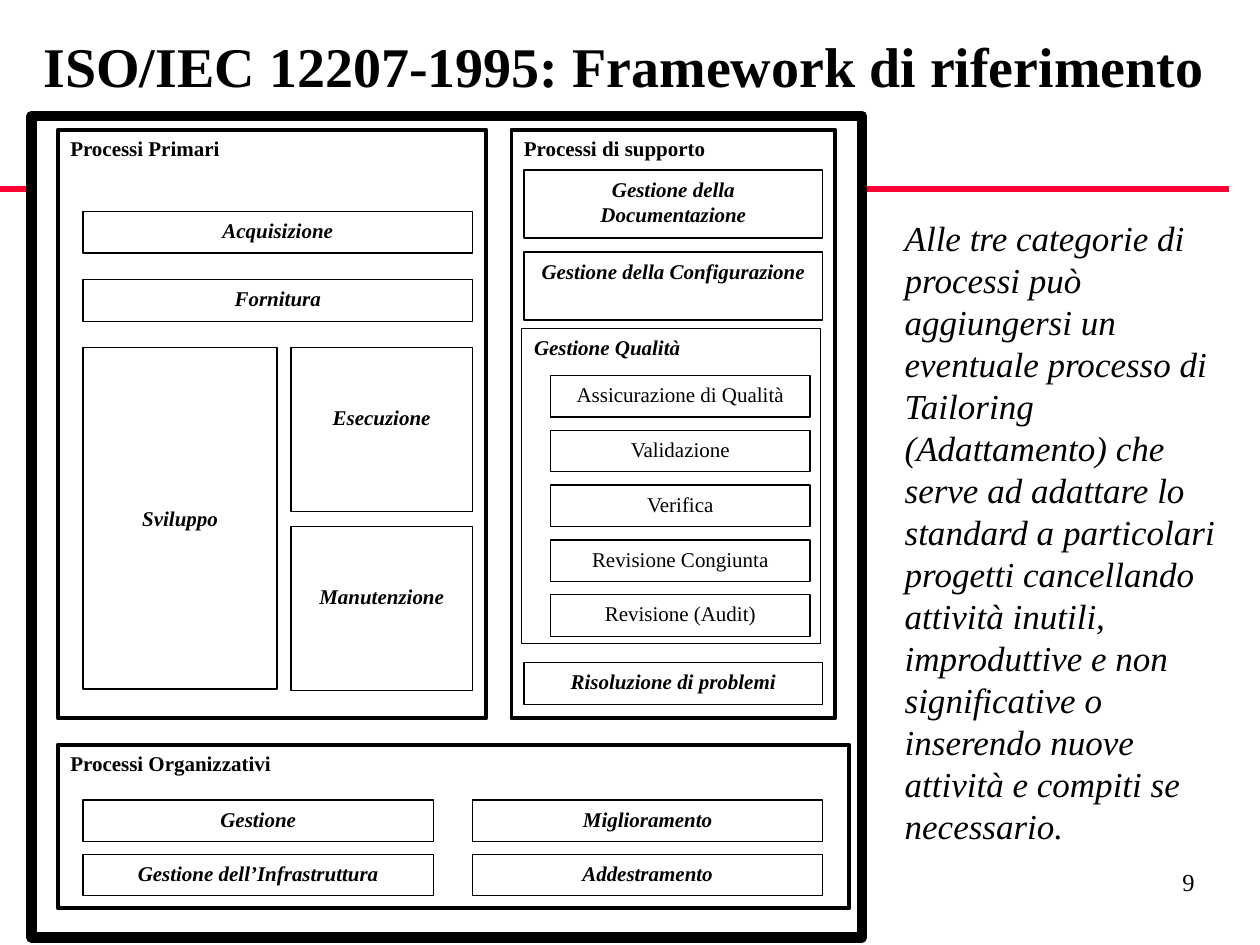
from lxml.etree import Element, SubElement
from pptx import Presentation
from pptx.dml.color import RGBColor
from pptx.enum.shapes import MSO_CONNECTOR, MSO_SHAPE
from pptx.enum.text import MSO_ANCHOR, MSO_AUTO_SIZE, PP_ALIGN
from pptx.oxml.ns import qn
from pptx.util import Inches, Pt

COLORS = {"ink": "000000", "paper": "FFFFFF", "rule": "FF0033"}


class SlideBuilder:
    """Holds the text style and the current slide."""

    font_name = "Times New Roman"

    def __init__(self, slide):
        self.slide = slide

    def color(self, name):
        return RGBColor.from_string(COLORS[name])

    def set_text(self, shape, text, size=12, bold=False, italic=False,
                 align=PP_ALIGN.LEFT, anchor=MSO_ANCHOR.TOP, top_inset=0.05):
        frame = shape.text_frame
        frame.word_wrap = True
        frame.auto_size = MSO_AUTO_SIZE.NONE
        frame.vertical_anchor = anchor
        frame.margin_top = Inches(top_inset)
        frame.text = text
        paragraph = frame.paragraphs[0]
        paragraph.alignment = align
        paragraph.space_before = Pt(0)
        font = paragraph.font
        font.name, font.size = self.font_name, Pt(size)
        font.bold, font.italic = bold, italic
        font.color.rgb = self.color("ink")
        return paragraph

    def placeholder(self, index, left, top, width, height, text, **style):
        shape = self.slide.placeholders[index]
        shape.left, shape.top = Inches(left), Inches(top)
        shape.width, shape.height = Inches(width), Inches(height)
        return self.set_text(shape, text, **style)

    def plain_body(self, *args, **style):
        properties = self.placeholder(1, *args, **style)._p.get_or_add_pPr()
        properties.set("marL", "0")
        properties.set("indent", "0")
        properties.find(qn("a:defRPr")).addprevious(Element(qn("a:buNone")))

    def text_box(self, left, top, width, height, text, **style):
        shape = self.slide.shapes.add_textbox(
            Inches(left), Inches(top), Inches(width), Inches(height))
        self.set_text(shape, text, **style)

    def box(self, left, top, width, height, line_width=0.75):
        shape = self.slide.shapes.add_shape(
            MSO_SHAPE.RECTANGLE,
            Inches(left), Inches(top), Inches(width), Inches(height))
        shape.shadow.inherit = False
        shape.fill.solid()
        shape.fill.fore_color.rgb = self.color("paper")
        shape.line.color.rgb = self.color("ink")
        shape.line.width = Pt(line_width)
        return shape

    def panel(self, left, top, width, height, heading):
        self.set_text(self.box(left, top, width, height, 2.25), heading, bold=True)

    def process(self, left, top, width, height, name, bold=True, italic=True,
                align=PP_ALIGN.CENTER, top_inset=0.05):
        self.set_text(self.box(left, top, width, height), name, bold=bold,
                      italic=italic, align=align, top_inset=top_inset)

    def rule(self, left, right, top, width):
        line = self.slide.shapes.add_connector(
            MSO_CONNECTOR.STRAIGHT,
            Inches(left), Inches(top), Inches(right), Inches(top))
        line.line.color.rgb = self.color("rule")
        line.line.width = Pt(width)
        SubElement(line._element.spPr, qn("a:effectLst"))


def main():
    presentation = Presentation()
    presentation.slide_width = Inches(10)
    presentation.slide_height = Inches(7.5)
    slide = presentation.slides.add_slide(presentation.slide_layouts[1])
    builder = SlideBuilder(slide)

    # Title, rule and outer frame
    builder.placeholder(0, 0.18, 0.2, 9.55, 0.64,
                        "ISO/IEC 12207-1995: Framework di riferimento",
                        size=32, bold=True, align=PP_ALIGN.CENTER)
    builder.rule(0, 9.75, 1.5, 4)
    builder.box(0.25, 0.92, 6.59, 6.52, line_width=6)

    # Primary processes
    builder.panel(0.46, 1.03, 3.4, 4.67, "Processi Primari")
    for row, name in enumerate(["Acquisizione", "Fornitura"]):
        builder.process(0.66, 1.68 + 0.54 * row, 3.09, 0.33, name)
    builder.process(0.66, 2.76, 1.54, 2.71, "Sviluppo", top_inset=1.25)
    for row, name in enumerate(["Esecuzione", "Manutenzione"]):
        builder.process(2.31, 2.76 + 1.42 * row, 1.44, 1.3, name, top_inset=0.45)

    # Supporting processes
    builder.panel(4.06, 1.03, 2.57, 4.67, "Processi di supporto")
    for row, name in enumerate(["Documentazione", "Configurazione"]):
        builder.process(4.16, 1.35 + 0.65 * row, 2.37, 0.54,
                        f"Gestione della {name}")
    builder.process(4.14, 2.61, 2.37, 2.5, "Gestione Qualità",
                    align=PP_ALIGN.LEFT)
    quality_processes = ["Assicurazione di Qualità", "Validazione", "Verifica",
                         "Revisione Congiunta", "Revisione (Audit)"]
    quality_pitch = (4.72 - 2.98) / (len(quality_processes) - 1)
    for row, name in enumerate(quality_processes):
        builder.process(4.37, 2.98 + quality_pitch * row, 2.06, 0.33, name,
                        bold=False, italic=False)
    builder.process(4.16, 5.26, 2.37, 0.33, "Risoluzione di problemi")

    # Organisational processes
    builder.panel(0.46, 5.91, 6.28, 1.3, "Processi Organizzativi")
    organisational_processes = [["Gestione", "Miglioramento"],
                                ["Gestione dell’Infrastruttura", "Addestramento"]]
    for row, names in enumerate(organisational_processes):
        for column, name in enumerate(names):
            builder.process(0.66 + 3.09 * column, 6.35 + 0.43 * row,
                            2.78, 0.33, name)

    # Commentary and page number
    builder.plain_body(
        7.08, 1.67, 2.75, 5.1,
        "Alle tre categorie di processi può aggiungersi un eventuale processo "
        "di Tailoring (Adattamento) che serve ad adattare lo standard a "
        "particolari progetti cancellando attività inutili, improduttive e non "
        "significative o inserendo nuove attività e compiti se necessario.",
        size=20, italic=True)
    builder.text_box(7.5, 6.75, 2.08, 0.5, "9", size=14,
                     align=PP_ALIGN.RIGHT, anchor=MSO_ANCHOR.MIDDLE)

    presentation.save("out.pptx")


if __name__ == "__main__":
    main()
